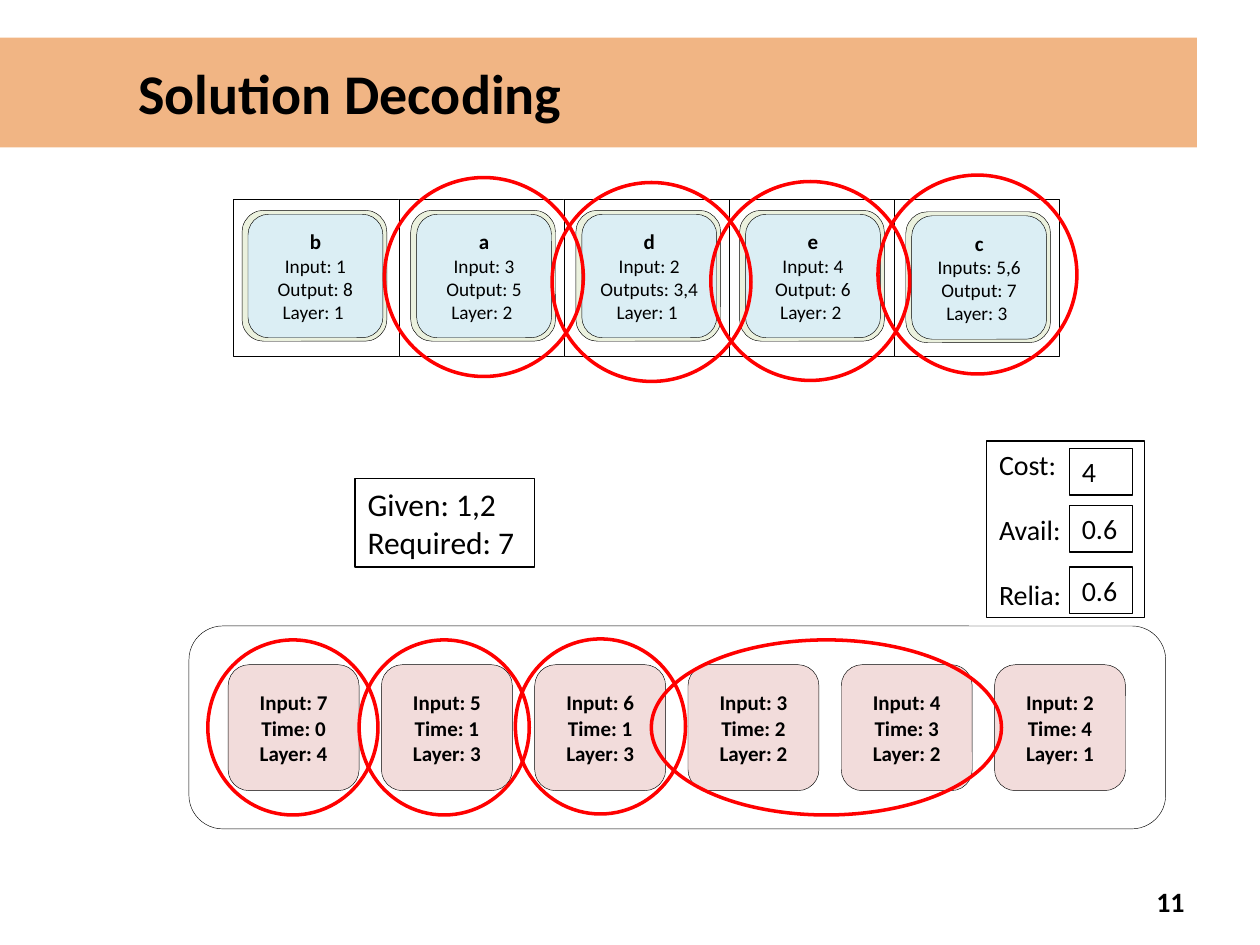
from dataclasses import dataclass

from lxml.etree import SubElement
from pptx import Presentation
from pptx.dml.color import RGBColor
from pptx.enum.shapes import MSO_SHAPE as Kind
from pptx.enum.text import MSO_ANCHOR as Anchor, PP_ALIGN as Align
from pptx.oxml.ns import qn
from pptx.util import Cm, Pt

FONT = "Calibri"
COLORS = {
    "ink": "000000", "paper": "FFFFFF", "band": "E46C0A", "rim": "EBF1DE",
    "card": "DBEEF4", "task": "F2DCDB", "ring": "FF0000",
}


@dataclass
class Box:
    """Place and size in centimetres."""
    x: float
    y: float
    w: float
    h: float


@dataclass
class Card:
    x: float
    y: float
    name: str
    source: str
    result: str
    layer: int


@dataclass
class Task:
    need: int
    time: int
    layer: int


CARDS = [
    Card(4.88, 4.24, "b", "Input: 1", "Output: 8", 1),
    Card(8.28, 4.24, "a", "Input: 3", "Output: 5", 2),
    Card(11.61, 4.24, "d", "Input: 2", "Outputs: 3,4", 1),
    Card(14.91, 4.24, "e", "Input: 4", "Output: 6", 2),
    Card(18.26, 4.27, "c", "Inputs: 5,6", "Output: 7", 3),
]
TASKS = [Task(7, 0, 4), Task(5, 1, 3), Task(6, 1, 3),
         Task(3, 2, 2), Task(4, 3, 2), Task(2, 4, 1)]
SCORES = [("4", 9.04), ("0.6", 10.19), ("0.6", 11.43)]
RINGS = [
    Box(17.7, 3.53, 4.01, 4.01), Box(7.75, 3.58, 4.01, 4.01),
    Box(14.33, 3.66, 4.01, 4.01), Box(4.19, 12.9, 3.43, 3.53),
    Box(7.24, 12.9, 3.43, 3.53), Box(10.39, 12.88, 3.43, 3.53),
    Box(11.13, 3.68, 4.01, 4.01), Box(13.13, 12.9, 7.06, 3.53),
]


def color(key: str) -> RGBColor:
    return RGBColor.from_string(COLORS[key])


def place(shape, box: Box) -> None:
    shape.left, shape.top = Cm(box.x), Cm(box.y)
    shape.width, shape.height = Cm(box.w), Cm(box.h)


def draw(slide, kind, box: Box, fill: str | None, line: str = "ink",
         weight: float = 0.25):
    shape = slide.shapes.add_shape(
        kind, Cm(box.x), Cm(box.y), Cm(box.w), Cm(box.h))
    shape.shadow.inherit = False
    if fill:
        shape.fill.solid()
        shape.fill.fore_color.rgb = color(fill)
    else:
        shape.fill.background()
    shape.line.color.rgb = color(line)
    shape.line.width = Pt(weight)
    return shape


def write(shape, lines: list[str], size: float, bold: bool = False,
          align=Align.LEFT, anchor=Anchor.TOP, after: float = 0) -> None:
    frame = shape.text_frame
    frame.text = "\n".join(lines)
    frame.word_wrap = True
    frame.vertical_anchor = anchor
    if align == Align.LEFT:
        frame.margin_right = 0
    for para in frame.paragraphs:
        para.alignment = align
        para.space_after = Pt(after)
        for run in para.runs:
            font = run.font
            font.name, font.size, font.bold = FONT, Pt(size), bold
            font.color.rgb = color("ink")


def add_title(slide) -> None:
    title = slide.shapes.title
    place(title, Box(0, 0.76, 24.13, 2.21))
    title.fill.solid()
    title.fill.fore_color.rgb = color("band")
    tint = title.fill._xPr.find(qn("a:solidFill"))[0]
    SubElement(tint, qn("a:alpha"), val="50000")
    write(title, ["Solution Decoding"], 32, True, anchor=Anchor.MIDDLE)
    title.text_frame.margin_left = Cm(2.79)


def add_card(slide, card: Card) -> None:
    draw(slide, Kind.ROUNDED_RECTANGLE, Box(card.x, card.y, 2.92, 2.64), "rim")
    face = draw(slide, Kind.ROUNDED_RECTANGLE,
                Box(card.x + 0.12, card.y + 0.08, 2.72, 2.49), "card")
    lines = [card.name, card.source, card.result, f"Layer: {card.layer} "]
    write(face, lines, 11, align=Align.CENTER, anchor=Anchor.MIDDLE)
    head = face.text_frame.paragraphs[0].runs[0].font
    head.size, head.bold = Pt(12), True


def add_task(slide, task: Task, x: float) -> None:
    shape = draw(slide, Kind.ROUNDED_RECTANGLE, Box(x, 13.4, 2.64, 2.54), "task")
    lines = [f"Input: {task.need}", f"Time: {task.time}", f"Layer: {task.layer}"]
    write(shape, lines, 12, True, Align.CENTER, Anchor.MIDDLE)


def add_note(slide, box: Box, lines: list[str], size: float,
             after: float = 0) -> None:
    shape = draw(slide, Kind.RECTANGLE, box, "paper", weight=0.75)
    write(shape, lines, size, after=after)


def main() -> None:
    deck = Presentation()
    deck.slide_width, deck.slide_height = Cm(25.4), Cm(19.05)
    slide = deck.slides.add_slide(deck.slide_layouts[5])

    draw(slide, Kind.ROUNDED_RECTANGLE, Box(3.81, 12.62, 19.69, 4.09), "paper")
    add_title(slide)
    page = slide.shapes.add_textbox(Cm(18.21), Cm(17.65), Cm(5.92), Cm(1.02))
    write(page, ["11"], 16, True, Align.RIGHT, Anchor.MIDDLE)

    for i in range(len(CARDS)):
        draw(slide, Kind.RECTANGLE, Box(4.71 + 3.33 * i, 4.01, 3.33, 3.18), "paper")
    for card in CARDS:
        add_card(slide, card)

    add_note(slide, Box(7.16, 9.65, 3.61, 1.78), ["Given: 1,2", "Required: 7"], 18)
    add_note(slide, Box(19.89, 8.89, 3.18, 3.56),
             ["Cost:", "Avail:", "Relia:"], 16, after=18)
    for i, task in enumerate(TASKS):
        add_task(slide, task, 4.6 + 3.09 * i)
    for value, y in SCORES:
        add_note(slide, Box(21.56, y, 1.27, 0.94), [value], 16)
    for ring in RINGS:
        draw(slide, Kind.OVAL, ring, None, "ring", 2)

    deck.save("out.pptx")


if __name__ == "__main__":
    main()
